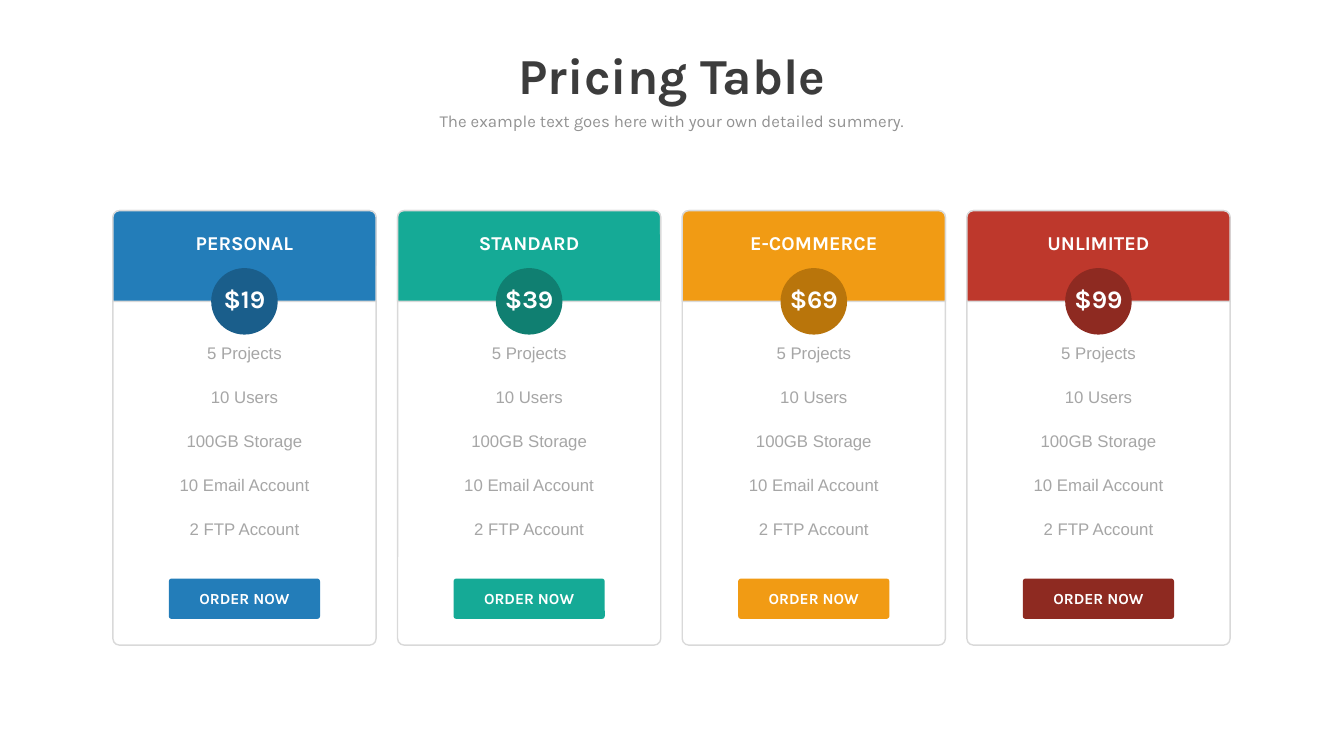
import pptx
import pptx.dml.color
import pptx.enum.shapes
import pptx.enum.text
import pptx.util

Inches = pptx.util.Inches
Pt = pptx.util.Pt
SHAPES = pptx.enum.shapes.MSO_SHAPE
ANCHOR = pptx.enum.text.MSO_ANCHOR

WHITE = "FFFFFF"
BORDER = "D9D9D9"
FEATURE_GRAY = "A6A6A6"

CARD_WIDTH = 2.61
CARD_TOP = 2.09
FIRST_CARD_LEFT, LAST_CARD_LEFT = 1.12, 9.59
FIRST_FEATURE_TOP, LAST_FEATURE_TOP = 3.35, 5.1

# Plan name, price, header colour, price circle colour, button colour
PLANS = [
    ("PERSONAL", "$19", "237DB9", "1A5E8B", "237DB9"),
    ("STANDARD", "$39", "15AA96", "107F71", "15AA96"),
    ("E-COMMERCE", "$69", "F19B14", "B9750B", "F19B14"),
    ("UNLIMITED", "$99", "BE382C", "8E2A21", "8E2A21"),
]
FEATURES = ["5 Projects", "10 Users", "100GB Storage", "10 Email Account", "2 FTP Account"]


def color(value):
    return pptx.dml.color.RGBColor.from_string(value)


def add_block(shapes, kind, center, top, width, height, fill, line=None, corners=()):
    """Add a filled preset shape centred horizontally on center."""
    block = shapes.add_shape(
        kind, Inches(center - width / 2), Inches(top), Inches(width), Inches(height)
    )
    block.shadow.inherit = False
    block.fill.solid()
    block.fill.fore_color.rgb = color(fill)
    if line:
        block.line.color.rgb = color(line)
        block.line.width = Pt(1)
    else:
        block.line.fill.background()
    for index, corner in enumerate(corners):
        block.adjustments[index] = corner


def add_label(shapes, text, center, top, width, height, size, text_color,
              font="Karla", bold=False, line_spacing=None, anchor=ANCHOR.TOP):
    """Add a one-line text box centred horizontally on center."""
    box = shapes.add_textbox(
        Inches(center - width / 2), Inches(top), Inches(width), Inches(height)
    )
    frame = box.text_frame
    frame.word_wrap = True
    frame.auto_size = pptx.enum.text.MSO_AUTO_SIZE.SHAPE_TO_FIT_TEXT
    frame.vertical_anchor = anchor
    paragraph = frame.paragraphs[0]
    paragraph.alignment = pptx.enum.text.PP_ALIGN.CENTER
    if line_spacing:
        paragraph.line_spacing = Pt(line_spacing)
    run = paragraph.add_run()
    run.text = text
    run.font.name = font
    run.font.size = Pt(size)
    run.font.bold = bold
    run.font.color.rgb = color(text_color)


def add_card(slide, center, plan):
    name, price, header_color, circle_color, button_color = plan
    shapes = slide.shapes.add_group_shape().shapes

    add_block(shapes, SHAPES.ROUNDED_RECTANGLE, center, CARD_TOP, CARD_WIDTH, 4.31,
              WHITE, BORDER, [0.025])
    add_block(shapes, SHAPES.ROUND_2_SAME_RECTANGLE, center, CARD_TOP, CARD_WIDTH, 0.9,
              header_color, BORDER, [0.07, 0])
    add_label(shapes, name, center, 2.24, 1.67, 0.34, 14, WHITE, bold=True)

    add_block(shapes, SHAPES.OVAL, center, 2.66, 0.66, 0.66, circle_color)
    add_label(shapes, price, center, 2.76, 0.75, 0.4, 18, WHITE, bold=True)

    feature_step = (LAST_FEATURE_TOP - FIRST_FEATURE_TOP) / (len(FEATURES) - 1)
    for row, feature in enumerate(FEATURES):
        add_label(shapes, feature, center, FIRST_FEATURE_TOP + row * feature_step,
                  2.19, 0.3, 12, FEATURE_GRAY, font="Arial")

    add_block(shapes, SHAPES.ROUNDED_RECTANGLE, center, 5.74, 1.5, 0.4,
              button_color, corners=[0.07])
    add_label(shapes, "ORDER NOW", center, 5.8, 1.49, 0.29, 11, WHITE, bold=True)


def main():
    presentation = pptx.Presentation()
    presentation.slide_width = Inches(13.33)
    presentation.slide_height = Inches(7.5)
    slide = presentation.slides.add_slide(presentation.slide_layouts[6])

    card_step = (LAST_CARD_LEFT - FIRST_CARD_LEFT) / (len(PLANS) - 1)
    for column, plan in enumerate(PLANS):
        left = FIRST_CARD_LEFT + column * card_step
        add_card(slide, left + CARD_WIDTH / 2, plan)

    slide_center = 13.33 / 2
    add_label(slide.shapes, "Pricing Table", slide_center, 0.54, 6.83, 0.56, 36, "3C3C3C",
              bold=True, line_spacing=32)
    add_label(slide.shapes, "The example text goes here with your own detailed summery.",
              slide_center, 1.05, 6.64, 0.3, 12, "929292", anchor=ANCHOR.MIDDLE)

    presentation.save("out.pptx")


if __name__ == "__main__":
    main()
